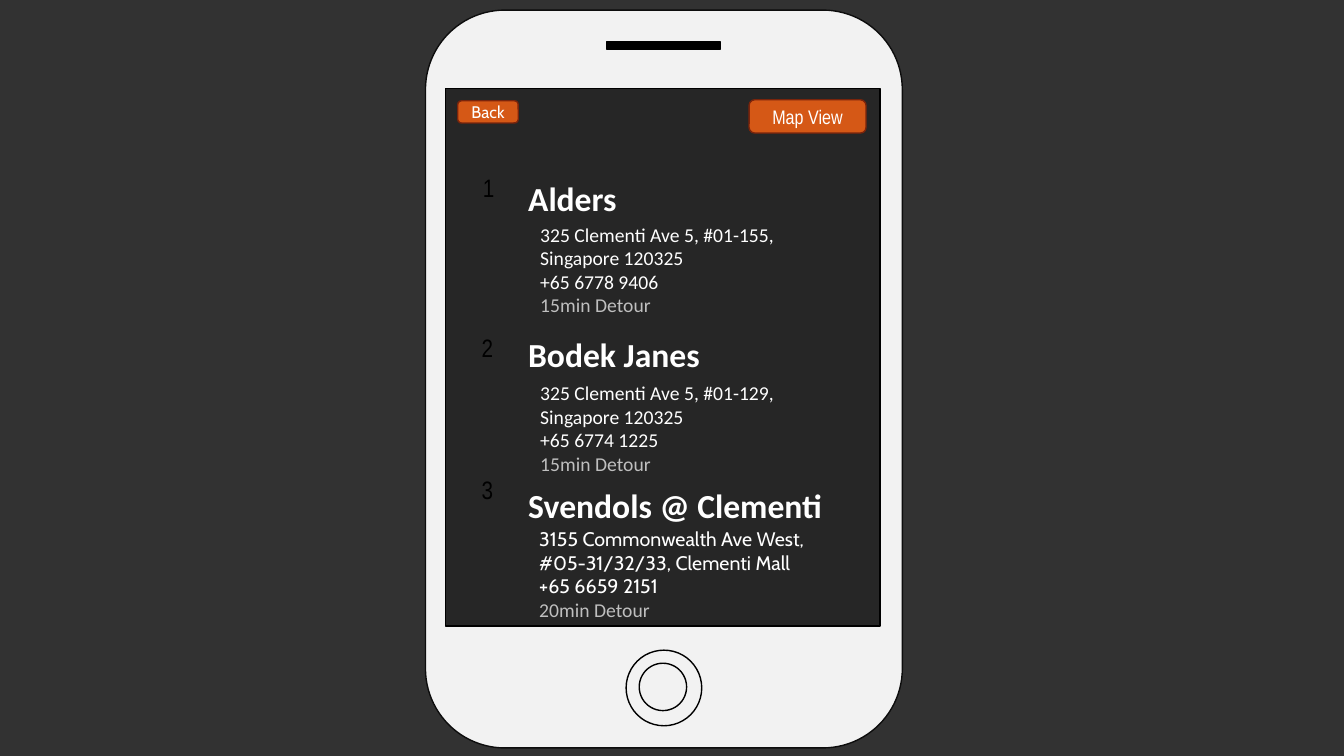
from dataclasses import dataclass

from pptx import Presentation
from pptx.dml.color import RGBColor
from pptx.enum.shapes import MSO_SHAPE
from pptx.enum.text import MSO_ANCHOR, PP_ALIGN
from pptx.shapes.autoshape import Shape
from pptx.slide import Slide
from pptx.text.text import _Paragraph as Paragraph
from pptx.util import Inches, Pt

RECTANGLE = MSO_SHAPE.RECTANGLE
ROUNDED = MSO_SHAPE.ROUNDED_RECTANGLE
OVAL = MSO_SHAPE.OVAL
MIDDLE = MSO_ANCHOR.MIDDLE
CENTER = PP_ALIGN.CENTER

COLORS = {
    "backdrop": "323232",
    "body": "F2F2F2",
    "body edge": "0D0D0D",
    "screen": "262626",
    "black": "000000",
    "white": "FFFFFF",
    "button": "D55816",
    "button edge": "7A240B",
    "detour": "BFBFBF",
}


@dataclass(frozen=True)
class Area:
    left: float
    top: float
    width: float
    height: float


@dataclass(frozen=True)
class Part:
    preset: MSO_SHAPE
    area: Area
    fill: str
    edge: str = "black"


@dataclass(frozen=True)
class Button:
    label: str
    area: Area
    font: str
    size: int


@dataclass(frozen=True)
class Restaurant:
    number: str
    number_at: tuple[float, float]
    name: str
    name_top: float
    name_width: float
    details_at: tuple[float, float]
    address: str
    phone: str
    detour: str
    font: str = "Calibri"


PHONE_PARTS = [
    Part(ROUNDED, Area(4.22, 0.1, 4.73, 7.32), "body", "body edge"),
    Part(RECTANGLE, Area(4.42, 0.88, 4.31, 5.33), "screen"),
    Part(RECTANGLE, Area(6.02, 0.41, 1.12, 0.08), "black"),
    Part(OVAL, Area(6.21, 6.45, 0.75, 0.75), "body"),
    Part(OVAL, Area(6.34, 6.58, 0.47, 0.47), "body"),
]

BUTTONS = [
    Button("Back", Area(4.54, 1, 0.6, 0.22), "Cabin", 12),
    Button("Map View", Area(7.43, 0.99, 1.16, 0.33), "Arial Narrow", 14),
]

RESTAURANTS = [
    Restaurant("1", (4.69, 1.66), "Alders", 1.72, 1.15, (5.26, 2.16),
               "325 Clementi Ave 5, #01-155, Singapore 120325",
               "+65 6778 9406", "15min Detour"),
    Restaurant("2", (4.68, 3.25), "Bodek Janes", 3.26, 2.1, (5.26, 3.73),
               "325 Clementi Ave 5, #01-129, Singapore 120325",
               "+65 6774 1225", "15min Detour"),
    Restaurant("3", (4.68, 4.66), "Svendols @ Clementi", 4.76, 3.28, (5.25, 5.18),
               "3155 Commonwealth Ave West,\v#05-31/32/33, Clementi Mall",
               "+65 6659 2151", "20min Detour", "Cabin"),
]


def color(name: str) -> RGBColor:
    return RGBColor.from_string(COLORS[name])


def lengths(area: Area) -> list[Inches]:
    return [Inches(value) for value in (area.left, area.top, area.width, area.height)]


def write(para: Paragraph, text: str, font: str, size: int, ink: str,
          bold: bool = False) -> None:
    para.text = text
    para.font.name = font
    para.font.size = Pt(size)
    para.font.bold = bold
    para.font.color.rgb = color(ink)


def draw_part(page: Slide, part: Part) -> Shape:
    shape = page.shapes.add_shape(part.preset, *lengths(part.area))
    shape.shadow.inherit = False
    shape.fill.solid()
    shape.fill.fore_color.rgb = color(part.fill)
    shape.line.color.rgb = color(part.edge)
    shape.line.width = Pt(1)
    return shape


def draw_button(page: Slide, button: Button) -> None:
    shape = draw_part(page, Part(ROUNDED, button.area, "button", "button edge"))
    shape.text_frame.vertical_anchor = MIDDLE
    para = shape.text_frame.paragraphs[0]
    para.alignment = CENTER
    write(para, button.label, button.font, button.size, "white")


def draw_label(page: Slide, area: Area, text: str, font: str, size: int,
               ink: str, bold: bool = False) -> None:
    box = page.shapes.add_textbox(*lengths(area))
    box.text_frame.word_wrap = False
    write(box.text_frame.paragraphs[0], text, font, size, ink, bold)


def draw_restaurant(page: Slide, place: Restaurant) -> None:
    draw_label(page, Area(*place.number_at, 0.33, 0.4), place.number,
               "Arial Narrow", 18, "black")
    draw_label(page, Area(5.14, place.name_top, place.name_width, 0.5), place.name,
               "Calibri", 24, "white", bold=True)
    box = page.shapes.add_textbox(*lengths(Area(*place.details_at, 3.26, 1.04)))
    frame = box.text_frame
    frame.word_wrap = True
    write(frame.paragraphs[0], place.address, place.font, 14, "white")
    write(frame.add_paragraph(), place.phone, place.font, 14, "white")
    write(frame.add_paragraph(), place.detour, "Calibri", 14, "detour")


def main() -> None:
    deck = Presentation()
    deck.slide_width = Inches(13.33)
    deck.slide_height = Inches(7.5)
    page = deck.slides.add_slide(deck.slide_layouts[6])
    page.background.fill.solid()
    page.background.fill.fore_color.rgb = color("backdrop")

    # Phone body, screen, speaker and home button
    for part in PHONE_PARTS:
        draw_part(page, part)

    # Navigation
    for button in BUTTONS:
        draw_button(page, button)

    # Restaurant list
    for place in RESTAURANTS:
        draw_restaurant(page, place)

    deck.save("out.pptx")


if __name__ == "__main__":
    main()
